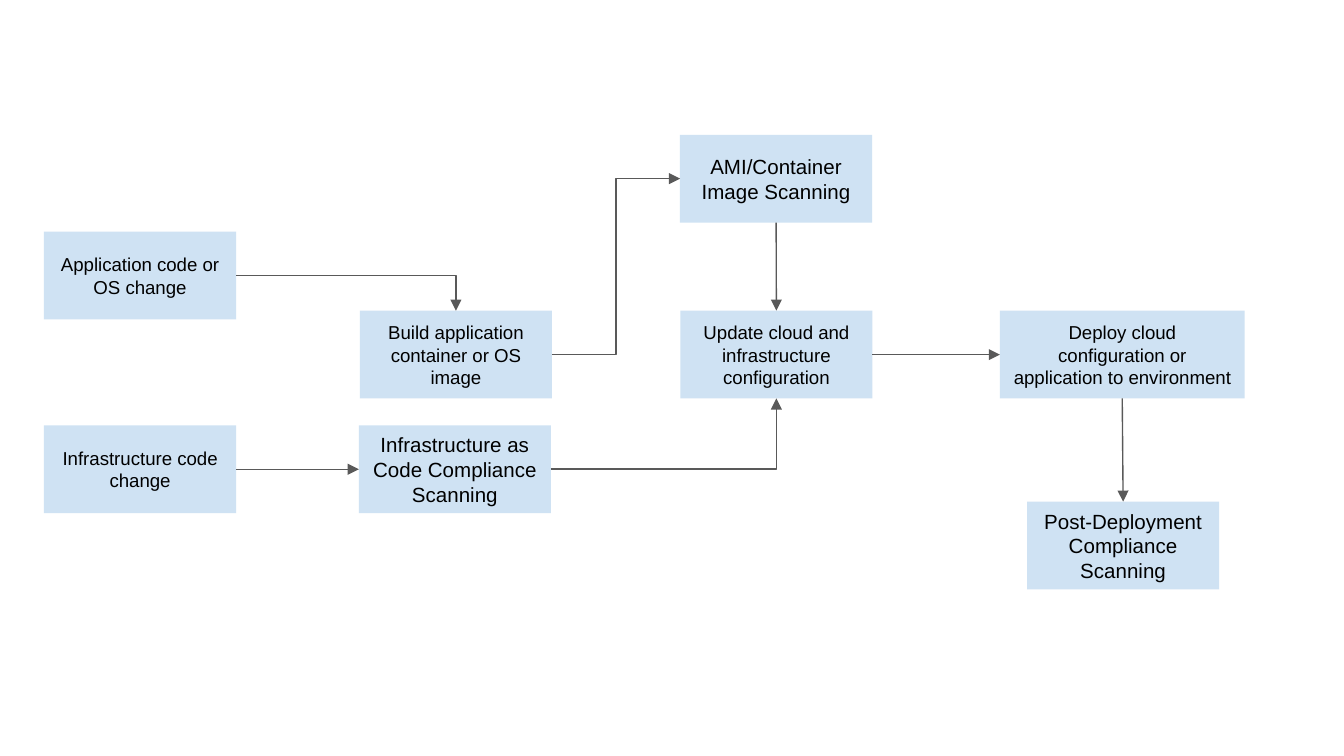
from dataclasses import dataclass

from pptx import Presentation
from pptx.dml.color import RGBColor as Rgb
from pptx.enum.shapes import MSO_CONNECTOR as Link, MSO_SHAPE as Form
from pptx.enum.text import MSO_ANCHOR as Anchor, PP_ALIGN as Align
from pptx.oxml.ns import qn
from pptx.util import Inches, Pt
from lxml.etree import SubElement as Sub


@dataclass(frozen=True)
class Theme:
    fill: Rgb = Rgb(0xCF, 0xE2, 0xF3)
    ink: Rgb = Rgb(0, 0, 0)
    wire: Rgb = Rgb(0x59, 0x59, 0x59)
    font: str = "Arial"
    step: int = 10
    scan: int = 11
    rule: float = 0.75


class Flow:
    """Draws boxes and arrows on a grid of 100 columns across the slide."""

    sides = {"top": 0, "left": 1, "base": 2, "right": 3}

    def __init__(self, slide, width, theme):
        self.slide, self.unit, self.theme = slide, width / 100, theme

    def box(self, text, col, row, size, wide=14.3, high=6.53):
        spot = [round(n * self.unit) for n in (col, row, wide, high)]
        shape = self.slide.shapes.add_shape(Form.RECTANGLE, *spot)
        shape.shadow.inherit = False
        shape.fill.solid()
        shape.fill.fore_color.rgb = self.theme.fill
        shape.line.fill.background()
        frame = shape.text_frame
        frame.word_wrap = True
        frame.vertical_anchor = Anchor.MIDDLE
        frame.margin_left = frame.margin_right = Inches(0.1)
        frame.margin_top = frame.margin_bottom = Inches(0.1)
        para = frame.paragraphs[0]
        para.alignment = Align.CENTER
        run = para.add_run()
        run.text = text
        run.font.name, run.font.size = self.theme.font, Pt(size)
        run.font.color.rgb = self.theme.ink
        return shape

    def arrow(self, start, out, end, into):
        upright = out == "base"
        kind = Link.STRAIGHT if upright else Link.ELBOW
        wire = self.slide.shapes.add_connector(kind, 0, 0, 0, 0)
        wire.begin_connect(start, self.sides[out])
        wire.end_connect(end, self.sides[into])
        wire.line.color.rgb = self.theme.wire
        wire.line.width = Pt(self.theme.rule)
        props = wire.element.spPr
        if not upright and into != "left":
            props.find(qn("a:prstGeom")).set("prst", "bentConnector2")
        Sub(props.find(qn("a:ln")), qn("a:tailEnd"), type="triangle")
        Sub(props, qn("a:effectLst"))


def main():
    deck = Presentation()
    deck.slide_width = Inches(10)
    deck.slide_height = deck.slide_width * 9 // 16
    theme = Theme()
    flow = Flow(deck.slides.add_slide(deck.slide_layouts[6]), deck.slide_width, theme)
    step, scan = theme.step, theme.scan
    mid, low = 23.12, 31.65

    build = flow.box("Build application container or OS image", 26.77, mid, step)
    deploy = flow.box("Deploy cloud configuration or application to environment",
                      74.4, mid, step, wide=18.2)
    update = flow.box("Update cloud and infrastructure configuration", 50.62, mid, step)
    app = flow.box("Application code or OS change", 3.27, 17.23, step)
    infra = flow.box("Infrastructure code change", 3.27, low, step)
    code = flow.box("Infrastructure as Code Compliance Scanning", 26.7, low, scan)
    image = flow.box("AMI/Container Image Scanning", 50.6, 10.03, scan)
    post = flow.box("Post-Deployment Compliance Scanning", 76.42, 37.33, scan)

    for link in (
        (infra, "right", code, "left"),
        (build, "right", image, "left"),
        (update, "right", deploy, "left"),
        (app, "right", build, "top"),
        (image, "base", update, "top"),
        (deploy, "base", post, "top"),
        (code, "right", update, "base"),
    ):
        flow.arrow(*link)
    deck.save("out.pptx")


if __name__ == "__main__":
    main()
